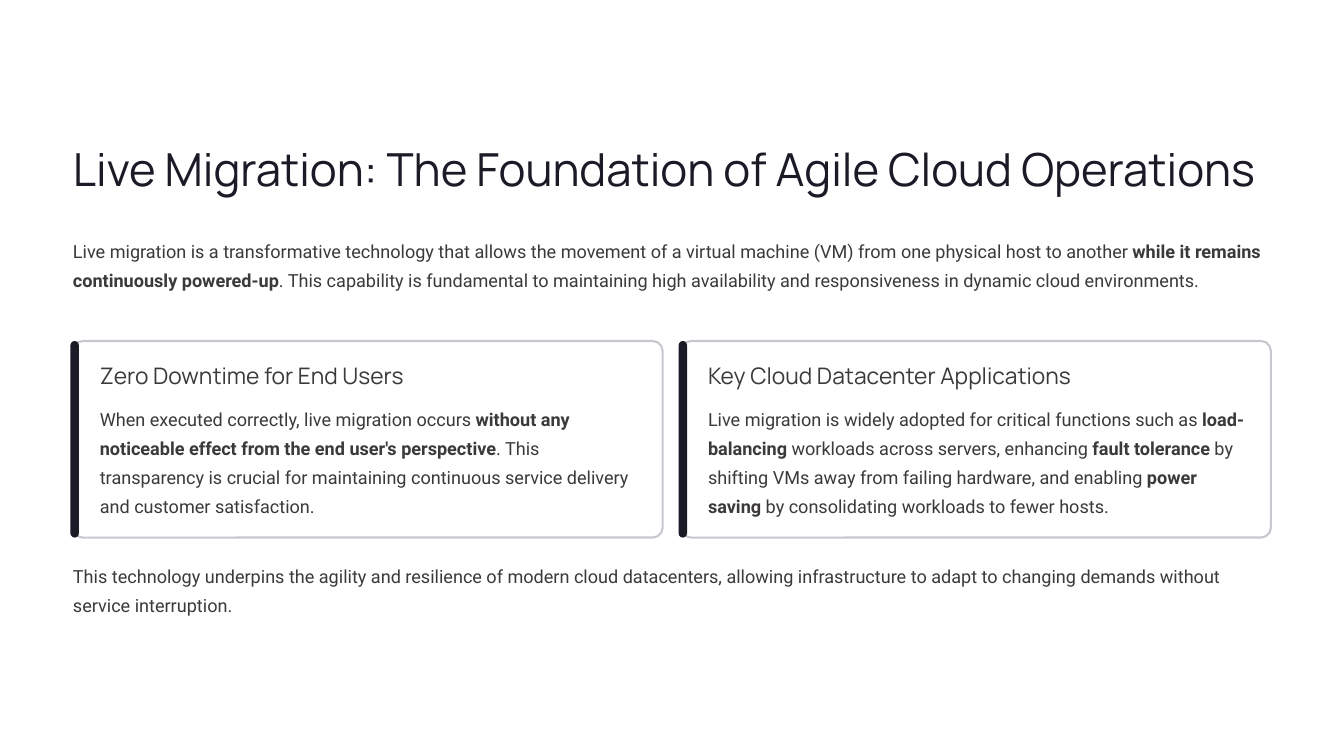
from dataclasses import dataclass

from lxml import etree
from pptx import Presentation
from pptx.dml.color import RGBColor
from pptx.enum.shapes import MSO_SHAPE
from pptx.enum.text import MSO_ANCHOR
from pptx.oxml.ns import qn
from pptx.util import Pt

ROUNDED = MSO_SHAPE.ROUNDED_RECTANGLE
TOP = MSO_ANCHOR.TOP

LEFT = 62.6
WIDTH = 1026.7
CARD_TOP = 292.3
CARD_WIDTH = 505.4
CARD_HEIGHT = 168.5
CARD_STEP = WIDTH - CARD_WIDTH
CARD_PADDING = 23

TITLE = "Live Migration: The Foundation of Agile Cloud Operations"
INTRO = (
    "Live migration is a transformative technology that allows the movement of a virtual "
    "machine (VM) from one physical host to another **while it remains continuously "
    "powered-up**. This capability is fundamental to maintaining high availability and "
    "responsiveness in dynamic cloud environments."
)
CARDS = [
    (
        "Zero Downtime for End Users",
        "When executed correctly, live migration occurs **without any noticeable effect from "
        "the end user's perspective**. This transparency is crucial for maintaining continuous "
        "service delivery and customer satisfaction.",
    ),
    (
        "Key Cloud Datacenter Applications",
        "Live migration is widely adopted for critical functions such as **load-balancing** "
        "workloads across servers, enhancing **fault tolerance** by shifting VMs away from "
        "failing hardware, and enabling **power saving** by consolidating workloads to fewer "
        "hosts.",
    ),
]
CLOSING = (
    "This technology underpins the agility and resilience of modern cloud datacenters, "
    "allowing infrastructure to adapt to changing demands without service interruption."
)


@dataclass(frozen=True)
class TextStyle:
    """Typeface, size, line spacing, colour and wrapping of one kind of text."""

    font: str
    size: float
    leading: float
    color: RGBColor
    wrap: bool


@dataclass(frozen=True)
class Theme:
    """Colours and text styles of the slide."""

    dark = RGBColor.from_string("1B1B27")
    gray = RGBColor.from_string("3C3939")
    border = RGBColor.from_string("C7C7D0")
    white = RGBColor.from_string("FFFFFF")
    title = TextStyle("Manrope", 39, 48.5, dark, False)
    heading = TextStyle("Manrope", 19.5, 24, gray, False)
    body = TextStyle("Roboto", 15.5, 25, gray, True)


class SlideBuilder:
    """Draws styled elements on the current slide."""

    def __init__(self, page, theme):
        self.page = page
        self.theme = theme

    def text(self, content, style, left, top, width, height):
        """Add a text box; double asterisks enclose bold words."""
        box = self.page.shapes.add_textbox(Pt(left), Pt(top), Pt(width), Pt(height))
        frame = box.text_frame
        frame_format = {
            "margin_left": 0,
            "margin_top": 0,
            "margin_right": 0,
            "margin_bottom": 0,
            "word_wrap": style.wrap,
            "vertical_anchor": TOP,
        }
        for name, value in frame_format.items():
            setattr(frame, name, value)
        para = frame.paragraphs[0]
        para.line_spacing = Pt(style.leading)
        for index, words in enumerate(content.split("**")):
            span = para.add_run()
            span.text = words
            font_format = {"name": style.font, "size": Pt(style.size), "bold": index % 2 == 1}
            for name, value in font_format.items():
                setattr(span.font, name, value)
            span.font.color.rgb = style.color

    def panel(self, left, top, width, height, fill, rounding):
        """Add a rounded rectangle without a line and return it."""
        shape = self.page.shapes.add_shape(ROUNDED, Pt(left), Pt(top), Pt(width), Pt(height))
        shape.adjustments[0] = rounding
        shape.shadow.inherit = False
        shape.fill.solid()
        shape.fill.fore_color.rgb = fill
        shape.line.fill.background()
        return shape

    def card(self, heading, body, left):
        """Add an outlined card with an accent bar, a heading and body text."""
        theme = self.theme
        frame = self.panel(left, CARD_TOP, CARD_WIDTH, CARD_HEIGHT, theme.white, 0.05)
        fill_color = frame.fill._xPr.find(qn("a:solidFill"))[0]
        etree.SubElement(fill_color, qn("a:alpha"), val="95000")
        frame.line.color.rgb = theme.border
        frame.line.width = Pt(1.8)
        self.panel(left - 2.2, CARD_TOP, 7.2, CARD_HEIGHT, theme.dark, 0.5)
        text_left = left + CARD_PADDING
        text_width = CARD_WIDTH - 40.3
        self.text(heading, theme.heading, text_left, CARD_TOP + 17.3, text_width, 24.5)
        self.text(body, theme.body, text_left, CARD_TOP + 51.1, text_width, 100)


def main():
    """Build and save the slide."""
    deck = Presentation()
    deck.slide_width, deck.slide_height = Pt(1152), Pt(648)
    page = deck.slides.add_slide(deck.slide_layouts[6])
    theme = Theme()
    builder = SlideBuilder(page, theme)
    builder.text(TITLE, theme.title, LEFT, 119.5, WIDTH, 49)
    builder.text(INTRO, theme.body, LEFT, 199.4, WIDTH, 75)
    for index, (heading, body) in enumerate(CARDS):
        builder.card(heading, body, LEFT + index * CARD_STEP)
    builder.text(CLOSING, theme.body, LEFT, 478.1, WIDTH, 50)
    deck.save("out.pptx")


if __name__ == "__main__":
    main()
